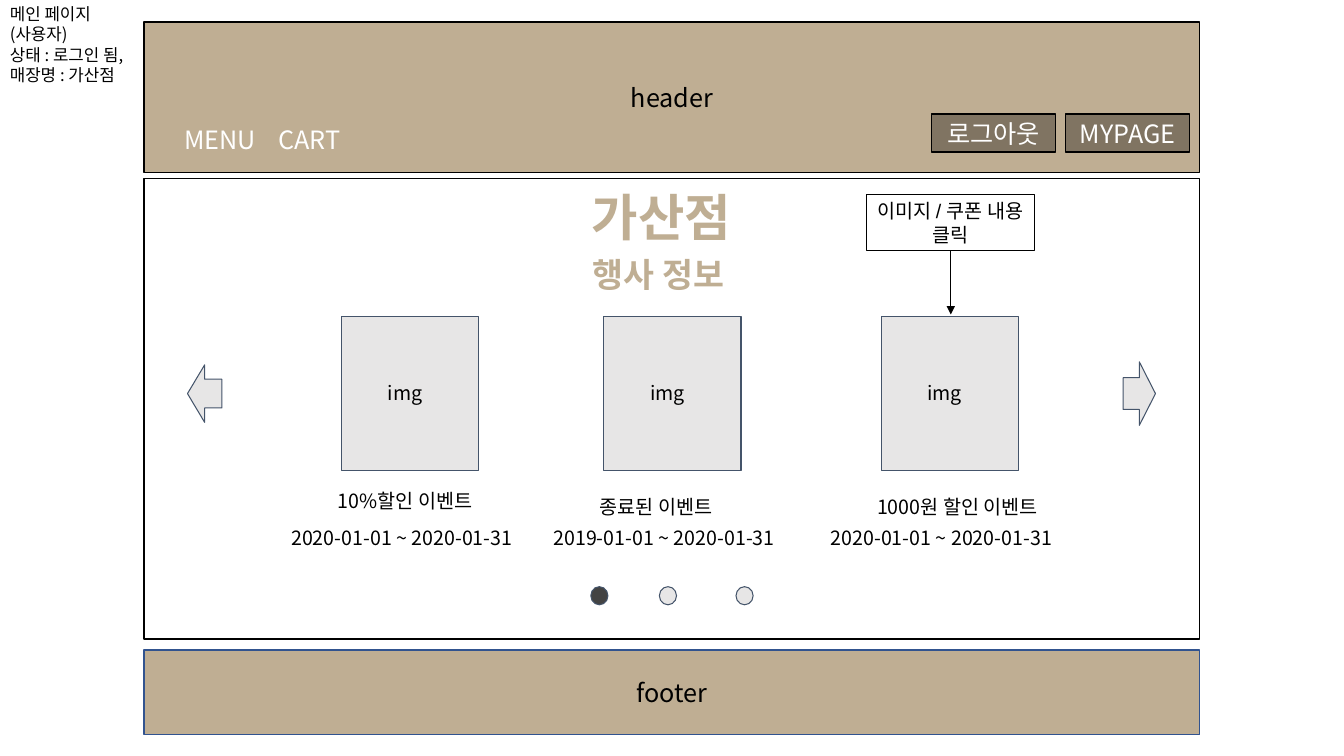
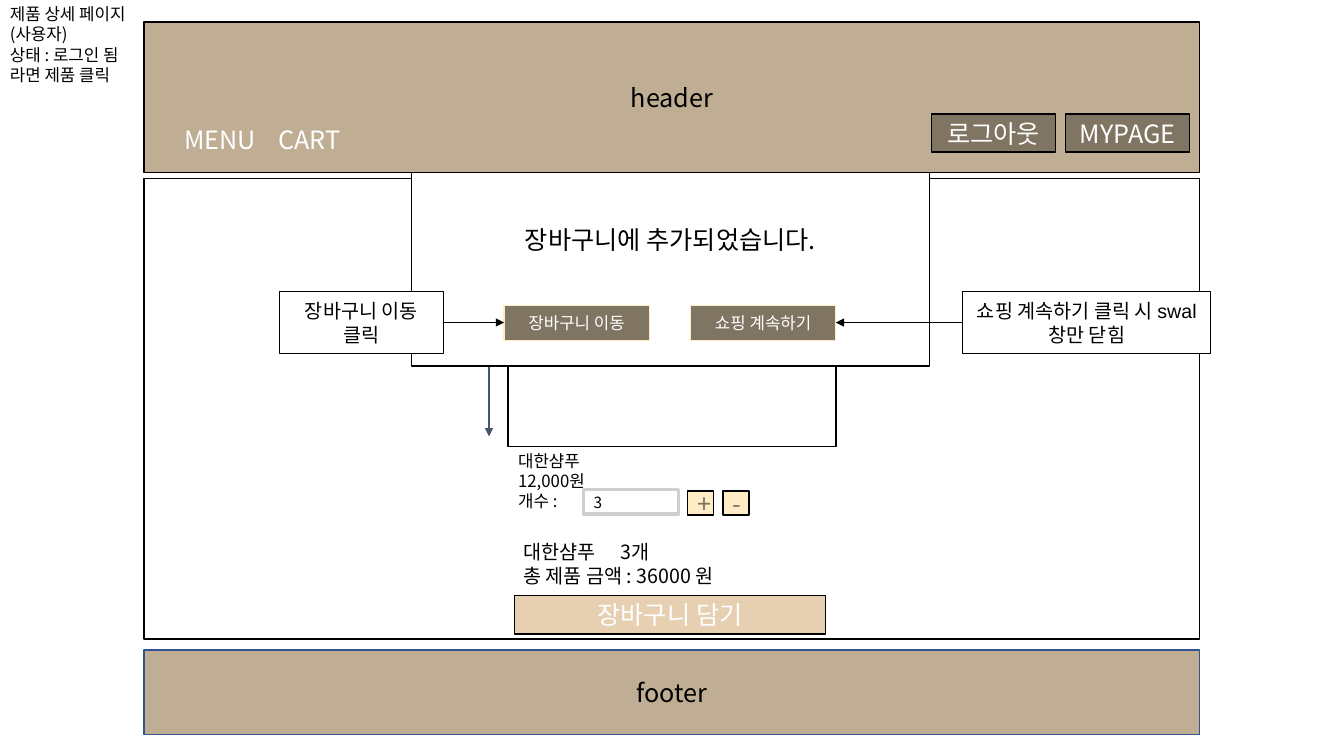
"""Build two wireframe slides of a shop: the event page and the cart dialog."""
from dataclasses import dataclass

from lxml.etree import SubElement
from pptx import Presentation
from pptx.dml.color import RGBColor
from pptx.enum.shapes import MSO_CONNECTOR, MSO_SHAPE
from pptx.enum.text import MSO_ANCHOR, PP_ALIGN
from pptx.oxml.ns import qn
from pptx.util import Pt

PX = 9144


@dataclass(frozen=True)
class Theme:
    sand: str = "BFAE93"
    brown: str = "807462"
    cream: str = "FFEBC4"
    peach: str = "E6D0B1"
    white: str = "FFFFFF"
    black: str = "000000"
    pale: str = "E7E6E6"
    dark: str = "434343"
    slate: str = "44546A"
    blue: str = "31538F"
    grey: str = "D0CECE"
    face: str = "Noto Sans CJK KR"
    plain: str = "Arial"
    tiny: int = 11
    small: int = 12
    body: int = 14
    large: int = 18
    sub: int = 24
    title: int = 36


T = Theme()
BASE = dict(kind=MSO_SHAPE.RECTANGLE, fill=None, line=T.black, width=1, size=T.large,
            color=T.black, bold=False, face=T.face, align=PP_ALIGN.CENTER,
            anchor=MSO_ANCHOR.MIDDLE, pad=5, foot=5, tab=0)
TEXT = dict(align=PP_ALIGN.LEFT, anchor=MSO_ANCHOR.TOP)
TILE = dict(fill=T.pale, line=T.slate, width=0.75)
LOOKS = {
    "panel": dict(fill=T.white),
    "popup": dict(fill=T.white, foot=33),
    "header": dict(fill=T.sand),
    "footer": dict(fill=T.sand, line=T.blue),
    "button": dict(fill=T.brown, color=T.white),
    "choice": dict(fill=T.brown, line=T.cream, color=T.white, size=T.small),
    "step": dict(fill=T.cream, color=T.brown),
    "order": dict(fill=T.peach, color=T.white),
    "field": dict(fill=T.white, line=T.grey, width=2.25, size=T.tiny, align=PP_ALIGN.LEFT),
    "call": dict(fill=T.white, width=0.75, size=T.body, face=T.plain),
    "tile": TILE,
    "dot": TILE | dict(kind=MSO_SHAPE.OVAL),
    "live": TILE | dict(kind=MSO_SHAPE.OVAL, fill=T.dark),
    "prev": TILE | dict(kind=MSO_SHAPE.LEFT_ARROW),
    "next": TILE | dict(kind=MSO_SHAPE.RIGHT_ARROW),
    "memo": TEXT | dict(size=T.small),
    "menu": TEXT | dict(color=T.white, tab=93),
    "title": TEXT | dict(color=T.sand, size=T.title, bold=True),
    "sub": TEXT | dict(color=T.sand, size=T.sub, bold=True),
    "label": TEXT | dict(size=T.body, pad=10, foot=10, tab=97),
}
RULES = {"rule": T.black, "drop": T.slate}


def box(page, look, spot, text=""):
    form = BASE | LOOKS[look]
    area = [n * PX for n in spot]
    if form["fill"]:
        item = page.shapes.add_shape(form["kind"], *area)
        item.shadow.inherit = False
        item.fill.solid()
        item.fill.fore_color.rgb = RGBColor.from_string(form["fill"])
        item.line.color.rgb = RGBColor.from_string(form["line"])
        item.line.width = Pt(form["width"])
    else:
        item = page.shapes.add_textbox(*area)
    if not text:
        return
    frame = item.text_frame
    setup = dict(word_wrap=True, vertical_anchor=form["anchor"], margin_left=10 * PX,
                 margin_right=10 * PX, margin_top=form["pad"] * PX,
                 margin_bottom=form["foot"] * PX)
    for name, value in setup.items():
        setattr(frame, name, value)
    for i, words in enumerate(text.split("\n")):
        para = frame.add_paragraph() if i else frame.paragraphs[0]
        para.alignment = form["align"]
        if "\t" in words:
            tabs = SubElement(para._p.get_or_add_pPr(), qn("a:tabLst"))
            SubElement(tabs, qn("a:tab"), pos=str(form["tab"] * PX), algn="l")
        run = para.add_run()
        run.text = words
        style = dict(size=Pt(form["size"]), bold=form["bold"], name=form["face"])
        for name, value in style.items():
            setattr(run.font, name, value)
        run.font.color.rgb = RGBColor.from_string(form["color"])
        SubElement(run._r.get_or_add_rPr(), qn("a:ea"), typeface=T.face)


def arrow(page, look, ends):
    line = page.shapes.add_connector(MSO_CONNECTOR.STRAIGHT, *[n * PX for n in ends])
    line.line.color.rgb = RGBColor.from_string(RULES[look])
    line.line.width = Pt(0.75)
    SubElement(line.line._get_or_add_ln(), qn("a:tailEnd"), type="triangle")
    SubElement(line._element.spPr, qn("a:effectLst"))


BACK = [
    ("panel", (143, 177, 1047, 457)),
    ("footer", (143, 645, 1047, 84), "footer"),
]
FRONT = [
    ("header", (143, 22, 1047, 149), "header"),
    ("button", (1057, 113, 123, 38), "MYPAGE"),
    ("button", (924, 113, 123, 38), "로그아웃"),
    ("menu", (173, 118, 195, 40), "MENU\tCART"),
]

EVENTS = [
    (339, 475, "10%할인 이벤트", "2020-01-01 ~ 2020-01-31"),
    (599, 481, "종료된 이벤트", "2019-01-01 ~ 2020-01-31"),
    (874, 481, "1000원 할인 이벤트", "2020-01-01 ~ 2020-01-31"),
]
HOME = [
    ("memo", (0, -1, 163, 91), "메인 페이지\n(사용자)\n상태 : 로그인 됨,\n매장명 : 가산점"),
    ("title", (577, 180, 177, 71), "가산점"),
    ("sub", (578, 247, 176, 50), "행사 정보"),
]
for x, y, name, dates in EVENTS:
    HOME += [
        ("tile", (x, 314, 136, 153)),
        ("label", (x + 36, 368, 63, 45), "img"),
        ("label", (x - 14, y, 202, 45), name),
        ("label", (x - 60, 512, 254, 45), dates),
    ]
HOME += [(look, (x, 582, 17, 18)) for look, x in
         [("live", 586), ("dot", 654), ("dot", 730)]]
HOME += [
    ("prev", (186, 362, 34, 57)),
    ("next", (1114, 359, 32, 63)),
    ("call", (859, 193, 167, 56), "이미지 / 쿠폰 내용 클릭"),
    ("rule", (943, 249, 943, 312)),
]

ITEM = [
    ("memo", (0, -1, 150, 91), "제품 상세 페이지\n(사용자)\n상태 : 로그인 됨\n라면 제품 클릭"),
    ("panel", (504, 209, 325, 234)),
    ("memo", (504, 442, 109, 71), "대한샴푸\n12,000원\n개수 :"),
    ("order", (510, 591, 309, 38), "장바구니 담기"),
    ("step", (682, 487, 26, 24), "+"),
    ("step", (717, 487, 26, 24), "-"),
    ("field", (579, 486, 94, 24), "3"),
    ("drop", (485, 216, 485, 433)),
    ("label", (509, 526, 235, 50), "대한샴푸\t3개\n총 제품 금액 : 36000 원"),
    ("popup", (408, 141, 514, 222), "장바구니에 추가되었습니다."),
    ("choice", (685, 303, 144, 35), "쇼핑 계속하기"),
    ("choice", (500, 303, 144, 35), "장바구니 이동"),
    ("call", (955, 289, 246, 62), "쇼핑 계속하기 클릭 시 swal창만 닫힘"),
    ("rule", (955, 320, 829, 320)),
    ("rule", (439, 320, 500, 320)),
    ("call", (277, 289, 163, 62), "장바구니 이동 클릭"),
]

deck = Presentation()
deck.slide_width, deck.slide_height = 1333 * PX, 750 * PX
for parts in (HOME, ITEM):
    page = deck.slides.add_slide(deck.slide_layouts[6])
    for look, *rest in BACK + parts + FRONT:
        draw = arrow if look in RULES else box
        draw(page, look, *rest)
deck.save("out.pptx")
